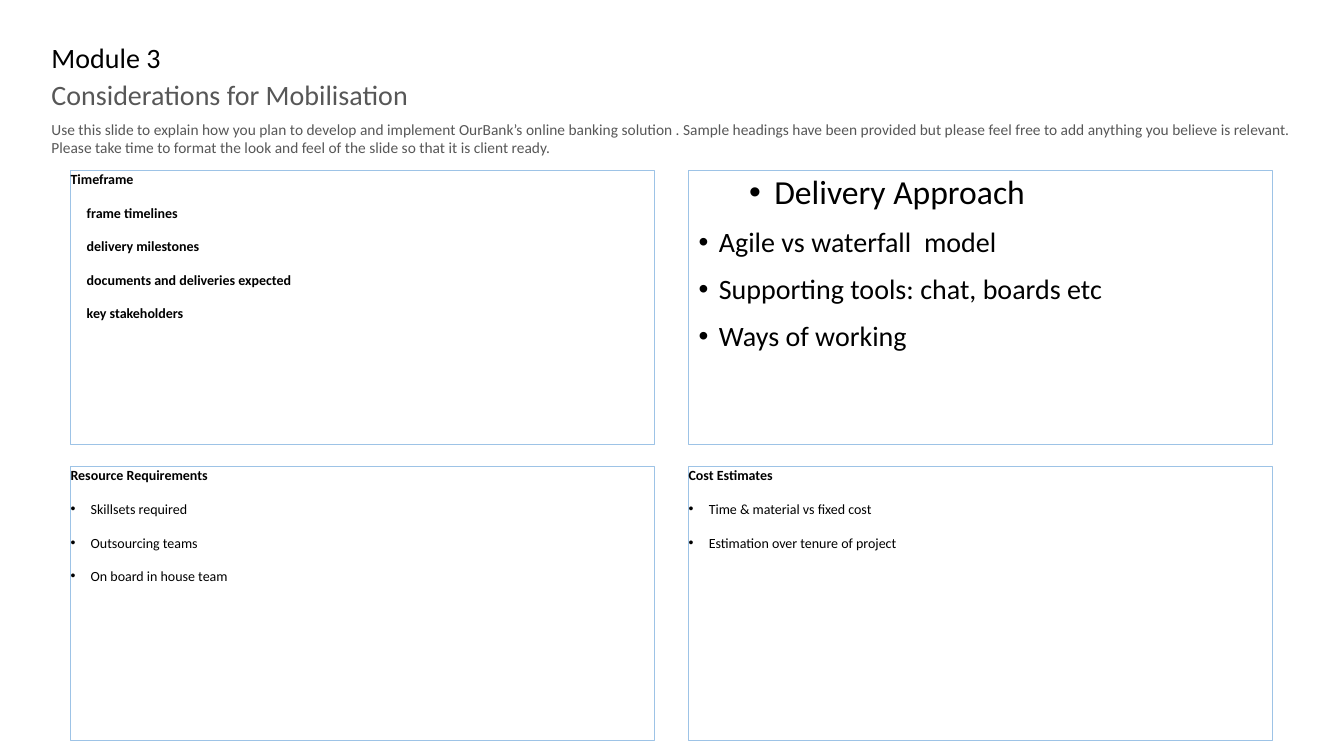
"""Build the Module 3 slide on considerations for mobilisation."""
from dataclasses import dataclass

import pptx
import pptx.dml.color
import pptx.enum.text
import pptx.oxml
import pptx.oxml.ns
import pptx.util

Inches = pptx.util.Inches
Pt = pptx.util.Pt

FONT = "Calibri"
BLACK = "000000"
GREY = "575757"
BORDER = "9DC3E6"
PANEL_WIDTH, PANEL_HEIGHT = 5.79, 2.72
COLUMNS = (0.7, 6.83)
ROWS = (1.69, 4.63)


@dataclass(frozen=True)
class Line:
    text: str
    size: float = 10
    bold: bool = False
    color: str = BLACK
    bullet: bool = False
    margin: float = 0
    hanging: float = 0
    spacing: float = 1
    before: float = 6
    after: float = 6


@dataclass(frozen=True)
class Panel:
    placeholder: int
    column: int
    row: int
    lines: tuple[Line, ...]
    inset_x: float = 0
    inset_y: float = 0


def heading(text: str) -> Line:
    return Line(text, bold=True)


def indented(text: str) -> Line:
    return Line(text, bold=True, margin=0.16)


def bullet(text: str) -> Line:
    return Line(text, bullet=True, margin=0.2, hanging=0.2)


def large_bullet(text: str) -> Line:
    return Line(text, size=20, bullet=True, margin=0.2, hanging=0.2, spacing=0.9)


TITLE = Line("Module 3", size=20, spacing=0.9, before=0, after=0)
SUBTITLE = Line("Considerations for Mobilisation", size=20, color=GREY,
                spacing=0.9, before=10, after=0)
INTRODUCTION = Line(
    "Use this slide to explain how you plan to develop and implement OurBank’s online "
    "banking solution . Sample headings have been provided but please feel free to add "
    "anything you believe is relevant. Please take time to format the look and feel of "
    "the slide so that it is client ready.",
    size=11, color=GREY, before=0, after=10)

PANELS = (
    Panel(1, 0, 0, (
        heading("Timeframe"),
        indented("frame timelines"),
        indented("delivery milestones"),
        indented("documents and deliveries expected"),
        indented("key stakeholders"),
    )),
    Panel(2, 1, 0, (
        Line("Delivery Approach", size=24, bullet=True, margin=0.75, hanging=0.25, spacing=0.9),
        large_bullet("Agile vs waterfall  model"),
        large_bullet("Supporting tools: chat, boards etc"),
        large_bullet("Ways of working"),
    ), inset_x=0.1, inset_y=0.05),
    Panel(3, 0, 1, (
        heading("Resource Requirements"),
        bullet("Skillsets required"),
        bullet("Outsourcing teams"),
        bullet("On board in house team"),
    )),
    Panel(4, 1, 1, (
        heading("Cost Estimates"),
        bullet("Time & material vs fixed cost"),
        bullet("Estimation over tenure of project"),
    )),
)


def rgb(color: str) -> pptx.dml.color.RGBColor:
    return pptx.dml.color.RGBColor.from_string(color)


def set_bullet(paragraph, line: Line) -> None:
    properties = paragraph._p.get_or_add_pPr()
    properties.set("marL", str(Inches(line.margin)))
    properties.set("indent", str(Inches(-line.hanging)))
    namespace = pptx.oxml.ns.nsdecls("a")
    if line.bullet:
        properties.append(pptx.oxml.parse_xml(f'<a:buFont {namespace} typeface="Arial"/>'))
        properties.append(pptx.oxml.parse_xml(f'<a:buChar {namespace} char="•"/>'))
    else:
        properties.append(pptx.oxml.parse_xml(f"<a:buNone {namespace}/>"))


def write_line(paragraph, line: Line) -> None:
    paragraph.alignment = pptx.enum.text.PP_ALIGN.LEFT
    paragraph.line_spacing = line.spacing
    paragraph.space_before = Pt(line.before)
    paragraph.space_after = Pt(line.after)
    set_bullet(paragraph, line)
    run = paragraph.add_run()
    run.text = line.text
    run.font.name = FONT
    run.font.size = Pt(line.size)
    run.font.bold = line.bold
    run.font.color.rgb = rgb(line.color)


def write_text(shape, lines: tuple[Line, ...], inset_x: float = 0, inset_y: float = 0) -> None:
    frame = shape.text_frame
    frame.word_wrap = True
    frame.auto_size = pptx.enum.text.MSO_AUTO_SIZE.NONE
    frame.vertical_anchor = pptx.enum.text.MSO_ANCHOR.TOP
    frame.margin_left = frame.margin_right = Inches(inset_x)
    frame.margin_top = frame.margin_bottom = Inches(inset_y)
    for index, line in enumerate(lines):
        paragraph = frame.add_paragraph() if index else frame.paragraphs[0]
        write_line(paragraph, line)


def place(shape, left: float, top: float, width: float, height: float) -> None:
    shape.left, shape.top = Inches(left), Inches(top)
    shape.width, shape.height = Inches(width), Inches(height)


def draw_panel(slide, panel: Panel) -> None:
    shape = slide.placeholders[panel.placeholder]
    place(shape, COLUMNS[panel.column], ROWS[panel.row], PANEL_WIDTH, PANEL_HEIGHT)
    shape.line.color.rgb = rgb(BORDER)
    shape.line.width = Pt(0.75)
    write_text(shape, panel.lines, panel.inset_x, panel.inset_y)


def draw_text_box(slide, line: Line, left: float, top: float, width: float, height: float) -> None:
    shape = slide.shapes.add_textbox(Inches(left), Inches(top), Inches(width), Inches(height))
    write_text(shape, (line,))


def main() -> None:
    presentation = pptx.Presentation()
    presentation.slide_width = Inches(13.33)
    presentation.slide_height = Inches(7.5)
    comparison_layout = presentation.slide_layouts[4]
    slide = presentation.slides.add_slide(comparison_layout)
    place(slide.shapes.title, 0.51, 0.44, 10.02, 0.37)
    write_text(slide.shapes.title, (TITLE,))
    draw_text_box(slide, SUBTITLE, 0.51, 0.81, 10.02, 0.41)
    draw_text_box(slide, INTRODUCTION, 0.51, 1.19, 12.32, 0.44)
    for panel in PANELS:
        draw_panel(slide, panel)
    presentation.save("out.pptx")


if __name__ == "__main__":
    main()
